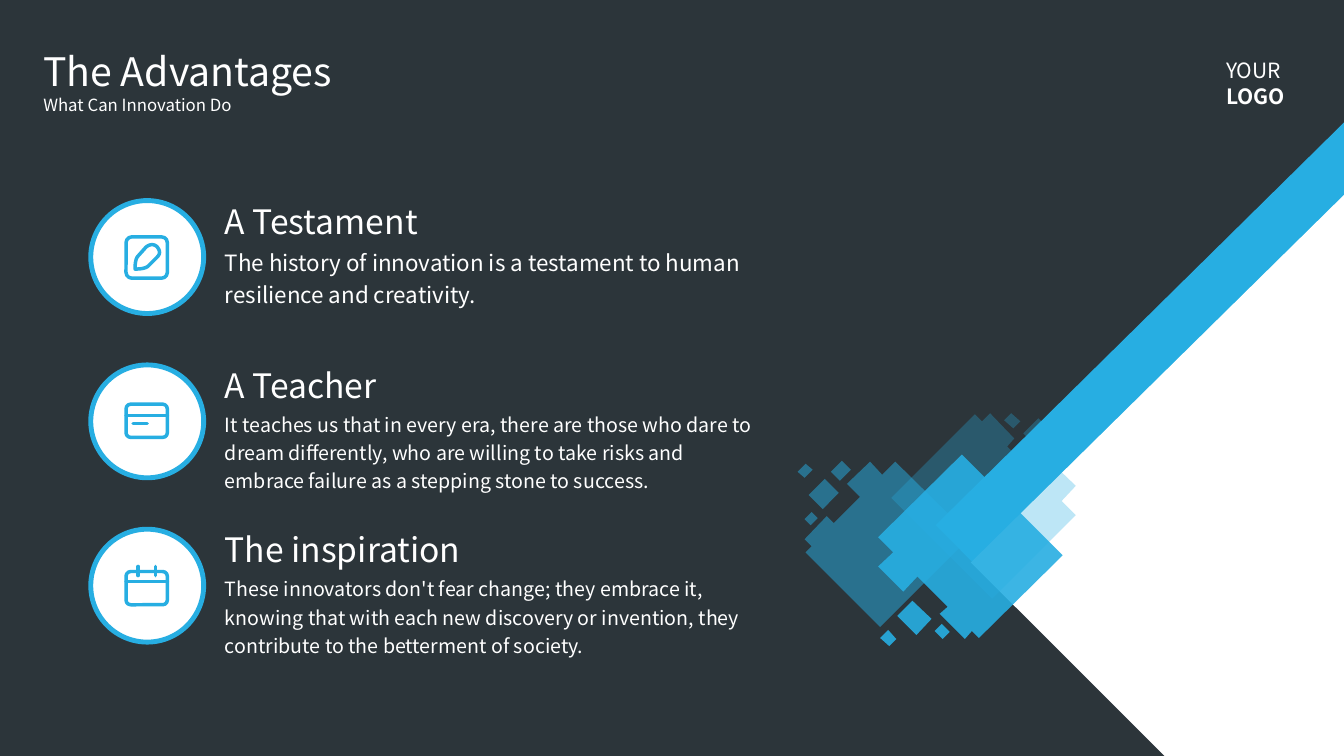
import pptx
import pptx.util
import pptx.dml.color
import pptx.enum.shapes
import pptx.enum.text
import pptx.oxml
from pptx.util import Inches

FONT = "Noto Sans CJK JP"
BLUE, WHITE, DARK = "27AEE2", "FFFFFF", "2C353A"
STROKE = 2.5

HEADING = ("The Advantages", (0.43, 0.47, 3.43, 0.47), 28)
SUBHEADING = ("What Can Innovation Do", (0.43, 0.94, 3.16, 0.2), 12)
LOGO_WORDS = [("YOUR", 0.57, False), ("LOGO", 0.83, True)]

ADVANTAGES = [
    ("A Testament", 16, "The history of innovation is a testament to human resilience and creativity."),
    ("A Teacher", 14, "It teaches us that in every era, there are those who dare to dream differently, "
     "who are willing to take risks and embrace failure as a stepping stone to success."),
    ("The inspiration", 14, "These innovators don't fear change; they embrace it, knowing that with each "
     "new discovery or invention, they contribute to the betterment of society."),
]
ICONS = [
    {"frame": (0.35, 0.36, 0.41, 0.41), "strokes": []},
    {"frame": (0.35, 0.39, 0.41, 0.33), "strokes": [(0.35, 0.5, 0.76, 0.5), (0.42, 0.58, 0.56, 0.58)]},
    {"frame": (0.35, 0.42, 0.41, 0.33), "strokes": [(0.35, 0.52, 0.76, 0.52), (0.47, 0.37, 0.47, 0.46),
                                                    (0.64, 0.37, 0.64, 0.46)]},
]
PEN_CURVES = [
    ((0.44, 0.68), (0.44, 0.61), (0.45, 0.57), (0.47, 0.55)),
    ((0.55, 0.46), (0.59, 0.43), (0.63, 0.43), (0.66, 0.46)),
    ((0.66, 0.46), (0.69, 0.5), (0.69, 0.53), (0.66, 0.56)),
    ((0.57, 0.65), (0.55, 0.67), (0.5, 0.68), (0.44, 0.68)),
]
ROW_LEFT, ROW_TOP, ROW_PITCH = 0.9, 1.99, 1.63
CIRCLE, TEXT_LEFT, TEXT_WIDTH = 1.12, 2.23, 5.25

BANDS = [
    (BLUE, 100, [[(14.4, 0.16), (9.28, 5.21), (14.4, 10.34)]]),
    (WHITE, 100, [[(14.4, 0.88), (9.63, 5.58), (14.4, 10.35)]]),
]
PIXEL_CLUSTERS = [
    (BLUE, 50, [
        [(8.05, 5.08), (7.98, 5.15), (8.04, 5.21), (8.11, 5.14)],
        [(8.18, 4.75), (8.02, 4.91), (8.16, 5.05), (8.32, 4.89)],
        [(7.99, 4.6), (7.91, 4.68), (7.98, 4.74), (8.06, 4.66)],
        [(8.88, 4.58), (8.75, 4.71), (8.63, 4.58), (8.4, 4.8), (8.53, 4.93), (8.27, 5.19), (8.2, 5.12),
         (7.98, 5.35), (8.05, 5.42), (7.99, 5.48), (8.73, 6.22), (9.63, 5.32)],
        [(8.35, 4.57), (8.24, 4.68), (8.33, 4.77), (8.44, 4.66)]]),
    (BLUE, 30, [
        [(10.3, 4.15), (10.15, 4.3), (10.33, 4.48), (10.48, 4.33)],
        [(9.82, 4.1), (9.74, 4.18), (9.67, 4.11), (8.84, 4.94), (9.84, 5.94), (10.67, 5.11), (10.53, 4.97),
         (10.67, 4.82), (10.42, 4.58), (10.28, 4.72), (9.99, 4.43), (10.06, 4.35)],
        [(10.03, 4.1), (9.96, 4.17), (10.05, 4.25), (10.12, 4.18)],
        [(10.56, 4.03), (10.49, 4.1), (10.58, 4.19), (10.65, 4.12)]]),
    (BLUE, 90, [
        [(8.81, 6.25), (8.73, 6.33), (8.82, 6.41), (8.89, 6.34)],
        [(9.34, 6.19), (9.27, 6.26), (9.35, 6.34), (9.42, 6.27)],
        [(9.05, 5.96), (8.9, 6.11), (9.09, 6.3), (9.24, 6.14)],
        [(9.54, 4.51), (8.71, 5.33), (8.86, 5.48), (8.71, 5.62), (8.96, 5.87), (9.1, 5.72), (9.4, 6.02),
         (9.32, 6.09), (9.57, 6.34), (9.64, 6.26), (9.71, 6.33), (10.54, 5.51)]]),
]
FRAME_FORMAT = {
    "margin_left": 0, "margin_right": 0, "margin_top": 0, "margin_bottom": 0, "word_wrap": True,
    "auto_size": pptx.enum.text.MSO_AUTO_SIZE.NONE, "vertical_anchor": pptx.enum.text.MSO_ANCHOR.TOP,
}

prs = pptx.Presentation()
prs.slide_width, prs.slide_height = Inches(13.33), Inches(7.5)
slide = prs.slides.add_slide(prs.slide_layouts[0])
shapes = slide.shapes


def rgb(value):
    return pptx.dml.color.RGBColor.from_string(value)


def set_all(target, values):
    for key, value in values.items():
        setattr(target, key, value)


def paint(shape, fill=None, line=None, width=STROKE):
    shape.shadow.inherit = False
    if fill:
        shape.fill.solid()
        shape.fill.fore_color.rgb = rgb(fill)
    else:
        shape.fill.background()
    if line:
        shape.line.color.rgb = rgb(line)
        shape.line.width = pptx.util.Pt(width)
    else:
        shape.line.fill.background()


def write(shape, words, size, **paragraph_format):
    frame = shape.text_frame
    set_all(frame, FRAME_FORMAT)
    paragraph = frame.paragraphs[0]
    set_all(paragraph, {"alignment": pptx.enum.text.PP_ALIGN.LEFT, "space_before": 0, **paragraph_format})
    run = paragraph.add_run()
    run.text = words
    set_all(run.font, {"name": FONT, "size": pptx.util.Pt(size)})
    run.font.color.rgb = rgb(WHITE)
    return run


def write_box(box, words, size, **paragraph_format):
    return write(shapes.add_textbox(*map(Inches, box)), words, size, **paragraph_format)


def outline(contours):
    emu = [[(Inches(x), Inches(y)) for x, y in contour] for contour in contours]
    builder = shapes.build_freeform(*emu[0][0])
    for number, contour in enumerate(emu):
        if number:
            builder.move_to(*contour[0])
        builder.add_line_segments(contour[1:], close=True)
    return builder.convert_to_shape()


def polygons(fill, opacity, contours):
    shape = outline(contours)
    paint(shape, fill)
    if opacity < 100:
        color = shape.fill._xPr.find(".//" + pptx.oxml.ns.qn("a:srgbClr"))
        color.append(pptx.oxml.parse_xml(
            f'<a:alpha {pptx.oxml.ns.nsdecls("a")} val="{opacity * 1000}"/>'))


def curve_points(curve, steps=8):
    for step in range(steps + 1):
        t = step / steps
        weights = ((1 - t) ** 3, 3 * t * (1 - t) ** 2, 3 * t * t * (1 - t), t ** 3)
        yield tuple(sum(w * p[axis] for w, p in zip(weights, curve)) for axis in (0, 1))


def icon(top, frame, strokes):
    x, y, width, height = frame
    border = shapes.add_shape(pptx.enum.shapes.MSO_SHAPE.ROUNDED_RECTANGLE,
                              *map(Inches, (ROW_LEFT + x, top + y, width, height)))
    border.adjustments[0] = 0.14
    paint(border, line=BLUE)
    for x1, y1, x2, y2 in strokes:
        stroke = shapes.add_connector(
            pptx.enum.shapes.MSO_CONNECTOR.STRAIGHT,
            *map(Inches, (ROW_LEFT + x1, top + y1, ROW_LEFT + x2, top + y2)))
        stroke.line.color.rgb = rgb(BLUE)
        stroke.line.width = pptx.util.Pt(STROKE)
        stroke.line._get_or_add_ln().set("cap", "rnd")
        stroke._element.spPr.append(pptx.oxml.parse_xml(f'<a:effectLst {pptx.oxml.ns.nsdecls("a")}/>'))


slide.background.fill.solid()
slide.background.fill.fore_color.rgb = rgb(DARK)

for placeholder, (words, box, size) in zip(slide.placeholders, (HEADING, SUBHEADING)):
    set_all(placeholder, dict(zip(("left", "top", "width", "height"), map(Inches, box))))
    write(placeholder, words, size)

for words, top, bold in LOGO_WORDS:
    write_box((12.16, top, 0.59, 0.25), words, 15).font.bold = bold

for row, ((name, size, detail), parts) in enumerate(zip(ADVANTAGES, ICONS)):
    top = ROW_TOP + row * ROW_PITCH
    circle = shapes.add_shape(pptx.enum.shapes.MSO_SHAPE.OVAL,
                              *map(Inches, (ROW_LEFT, top, CIRCLE, CIRCLE)))
    paint(circle, WHITE, BLUE, 3.5)
    icon(top, **parts)
    if row == 0:
        paint(outline([[(ROW_LEFT + x, top + y) for curve in PEN_CURVES for x, y in curve_points(curve)]]),
              line=BLUE)
    write_box((TEXT_LEFT, top, 2.63, 0.4), name, 24)
    write_box((TEXT_LEFT, top + 0.43, TEXT_WIDTH, 0.82), detail, size, line_spacing=1.2)

for layer in BANDS + PIXEL_CLUSTERS:
    polygons(*layer)

prs.save("out.pptx")
